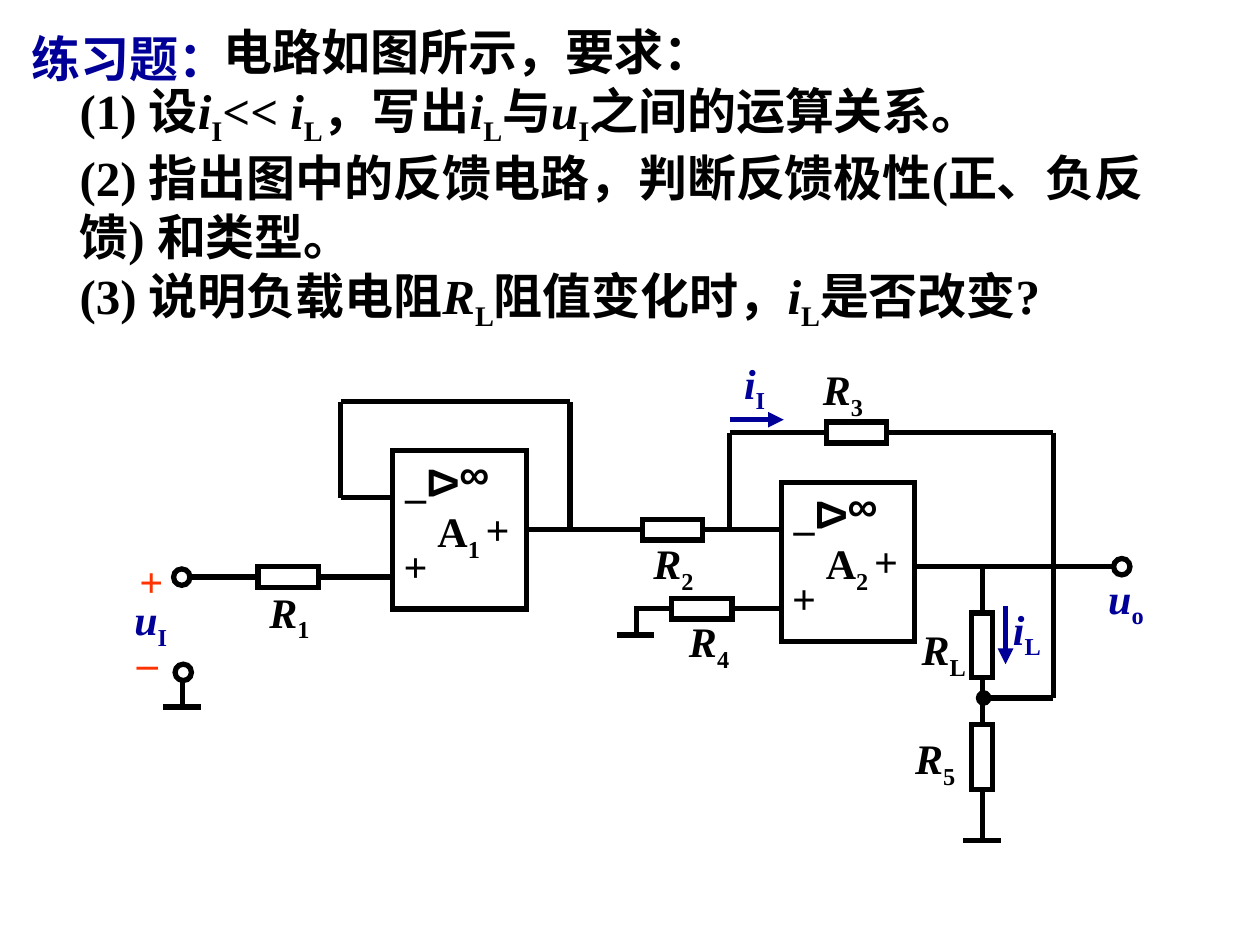
from typing import Any, NamedTuple

from lxml.etree import SubElement
from pptx import Presentation
from pptx.dml.color import RGBColor
from pptx.enum.shapes import MSO_CONNECTOR, MSO_SHAPE
from pptx.enum.text import MSO_ANCHOR, MSO_AUTO_SIZE, PP_ALIGN
from pptx.oxml.ns import qn
from pptx.util import Cm, Pt

INK = {"black": "000000", "blue": "000099", "red": "FF3300"}
SERIF, SANS = "Times New Roman", "Arial"


class Part(NamedTuple):
    key: str
    x: float
    y: float
    w: float = 1.22
    h: float = 0.42
    kind: Any = MSO_SHAPE.RECTANGLE


class Wire(NamedTuple):
    """Each end is a point (x, y) or a port (part key, side)."""
    start: tuple
    stop: tuple
    ink: str = "black"
    tip: str = ""


class Label(NamedTuple):
    text: str
    x: float
    y: float
    w: float = 1.6
    ink: str = "black"
    font: str = SERIF
    turn: int = 0


AMP = {"w": 2.69, "h": 3.2}
TALL = {"w": 0.42, "h": 1.3}
RING = {"w": 0.33, "h": 0.33, "kind": MSO_SHAPE.OVAL}
PARTS = [
    Part("A1", 7.92, 9.08, **AMP), Part("A2", 15.75, 9.73, **AMP),
    Part("R1", 5.2, 11.42), Part("R2", 12.95, 10.47),
    Part("R3", 16.66, 8.51), Part("R4", 13.54, 12.06),
    Part("RL", 19.59, 12.36, **TALL), Part("R5", 19.59, 14.61, **TALL),
    Part("in", 3.5, 11.47, **RING), Part("com", 3.53, 13.39, **RING),
    Part("out", 22.45, 11.26, **RING),
]
WIRES = [
    # input and follower stage
    Wire((3.8, 11.63), ("R1", 1)), Wire(("R1", 3), (7.92, 11.63)),
    Wire((6.87, 10.03), (7.92, 10.03)), Wire((6.87, 8.1), (6.87, 10.03)),
    Wire((6.87, 8.1), (11.49, 8.1)), Wire((11.49, 8.1), (11.49, 10.68)),
    Wire(("A1", 3), ("R2", 1)), Wire((3.68, 13.7), (3.68, 14.25)),
    # second stage inputs
    Wire(("R2", 3), (15.75, 10.68)), Wire((14.71, 8.72), (14.71, 10.68)),
    Wire(("R4", 3), (15.75, 12.27)), Wire(("R4", 1), (12.79, 12.27)),
    Wire((12.83, 12.27), (12.83, 12.8)),
    # feedback and load
    Wire((14.71, 8.72), ("R3", 1)), Wire(("R3", 3), (21.23, 8.72)),
    Wire((21.23, 8.72), (21.23, 14.07)),
    Wire((21.23, 14.07), (19.83, 14.07), tip="oval"),
    Wire((18.44, 11.42), (22.45, 11.42)), Wire((19.8, 11.42), ("RL", 0)),
    Wire(("RL", 2), ("R5", 0)), Wire(("R5", 2), (19.8, 16.94)),
    # current arrows
    Wire((14.71, 8.46), (15.8, 8.46), "blue", "triangle"),
    Wire((20.27, 12.22), (20.27, 13.39), "blue", "triangle"),
]
EARTHS = [(3.67, 14.25), (12.81, 12.8), (19.8, 16.94)]
LABELS = [
    Label("*R|_1", 5.18, 11.69), Label("*R|_2", 12.92, 10.72),
    Label("*R|_3", 16.34, 7.21), Label("*R|_4", 13.64, 12.29),
    Label("*R|_L", 18.33, 12.45), Label("*R|_5", 18.2, 14.65),
    Label("*u|_I", 2.46, 11.84, ink="blue"),
    Label("*u|_o", 22.09, 11.41, ink="blue"),
    Label("*i|_I", 14.75, 7.08, 1.2, "blue"),
    Label("*i|_L", 20.17, 12.04, 1.2, "blue"),
    Label("+", 2.56, 11.07, 1, "red"), Label("–", 2.51, 12.7, 1, "red"),
]
# offsets from an amplifier's corner
MARKS = [
    Label("+", -0.03, 1.69), Label("+", 1.62, 0.95), Label("–", 0, 0.28),
    Label("∞", 1.09, -0.18, font=SANS),
    Label("Δ", 0.55, -0.01, 1.02, font=SANS, turn=90),
]
TASKS = [
    "电路如图所示，要求：",
    "(1) 设|*i|_I|<< |*i|_L|，写出|*i|_L|与|*u|_I|之间的运算关系。",
    "(2) 指出图中的反馈电路，判断反馈极性(正、负反馈) 和类型。",
    "(3) 说明负载电阻|*R|_L|阻值变化时，|*i|_L|是否改变?",
]


def apply(obj: Any, **vals: Any) -> None:
    for key, val in vals.items():
        setattr(obj, key, val)


def place(shape: Any, x: float, y: float, w: float, h: float) -> None:
    apply(shape, left=Cm(x), top=Cm(y), width=Cm(w), height=Cm(h))


def write(par: Any, text: str, size: int, ink: str, font: str) -> None:
    """Split text at bars; * marks italic and _ marks a subscript."""
    for bit in text.split("|"):
        run = par.add_run()
        run.text = bit.lstrip("*_")
        apply(run.font, size=Pt(size), bold=True, name=font,
              italic=bit.startswith("*"))
        run.font.color.rgb = RGBColor.from_string(INK[ink])
        if bit.startswith("_"):
            run._r.get_or_add_rPr().set("baseline", "-25000")


def draw_part(slide: Any, part: Part) -> Any:
    shape = slide.shapes.add_shape(
        part.kind, *(Cm(v) for v in (part.x, part.y, part.w, part.h)))
    shape.shadow.inherit = False
    shape.fill.background()
    shape.line.color.rgb = RGBColor.from_string(INK["black"])
    shape.line.width = Pt(3)
    SubElement(shape.line._get_or_add_ln(), qn("a:miter"), lim="800000")
    return shape


def draw_wire(slide: Any, wire: Wire, drawn: dict[str, Any]) -> None:
    ports = [isinstance(end[0], str) for end in (wire.start, wire.stop)]
    spots = [(0, 0) if port else end
             for port, end in zip(ports, (wire.start, wire.stop))]
    line = slide.shapes.add_connector(
        MSO_CONNECTOR.STRAIGHT, *(Cm(v) for spot in spots for v in spot))
    if ports[0]:
        line.begin_connect(drawn[wire.start[0]], wire.start[1])
    if ports[1]:
        line.end_connect(drawn[wire.stop[0]], wire.stop[1])
    line.line.color.rgb = RGBColor.from_string(INK[wire.ink])
    line.line.width = Pt(3)
    if wire.tip:
        SubElement(line.line._get_or_add_ln(), qn("a:tailEnd"), type=wire.tip)
    SubElement(line._element.spPr, qn("a:effectLst"))


def draw_label(slide: Any, label: Label) -> None:
    high = 1.42 if "_" in label.text else 1.27
    box = slide.shapes.add_textbox(
        *(Cm(v) for v in (label.x, label.y, label.w, high)))
    box.rotation = label.turn
    box.text_frame.word_wrap = True
    write(box.text_frame.paragraphs[0], label.text, 24, label.ink, label.font)


def fill_text(slide: Any) -> None:
    title, body = slide.shapes.title, slide.placeholders[1]
    place(title, 0.38, 0.3, 4.55, 1.75)
    place(body, 1.35, 0.31, 22.2, 6.53)
    for shape, anchor in ((title, MSO_ANCHOR.MIDDLE), (body, MSO_ANCHOR.TOP)):
        apply(shape.text_frame, word_wrap=True, vertical_anchor=anchor,
              auto_size=MSO_AUTO_SIZE.NONE)
    head = title.text_frame.paragraphs[0]
    head.alignment = PP_ALIGN.LEFT
    write(head, "练习题：", 28, "blue", SANS)
    for num, task in enumerate(TASKS):
        frame = body.text_frame
        par = frame.add_paragraph() if num else frame.paragraphs[0]
        props = par._p.get_or_add_pPr()
        props.set("marL", "0")
        props.set("indent", str(0 if num else Cm(2.9)))
        SubElement(props, qn("a:buNone"))
        apply(par, space_before=Pt(0), line_spacing=1.0)
        write(par, task, 28, "black", SERIF)


def main() -> None:
    deck = Presentation()
    apply(deck, slide_width=Cm(25.4), slide_height=Cm(19.05))
    slide = deck.slides.add_slide(deck.slide_layouts[1])
    fill_text(slide)
    drawn = {part.key: draw_part(slide, part) for part in PARTS}
    bars = [Wire((x - 0.38, y), (x + 0.38, y)) for x, y in EARTHS]
    for wire in WIRES + bars:
        draw_wire(slide, wire, drawn)
    for num, amp in enumerate(PARTS[:2], 1):
        for mark in MARKS + [Label(f"A|_{num}", 0.65, 0.99)]:
            draw_label(slide, mark._replace(x=amp.x + mark.x, y=amp.y + mark.y))
    for label in LABELS:
        draw_label(slide, label)
    deck.save("out.pptx")


if __name__ == "__main__":
    main()
